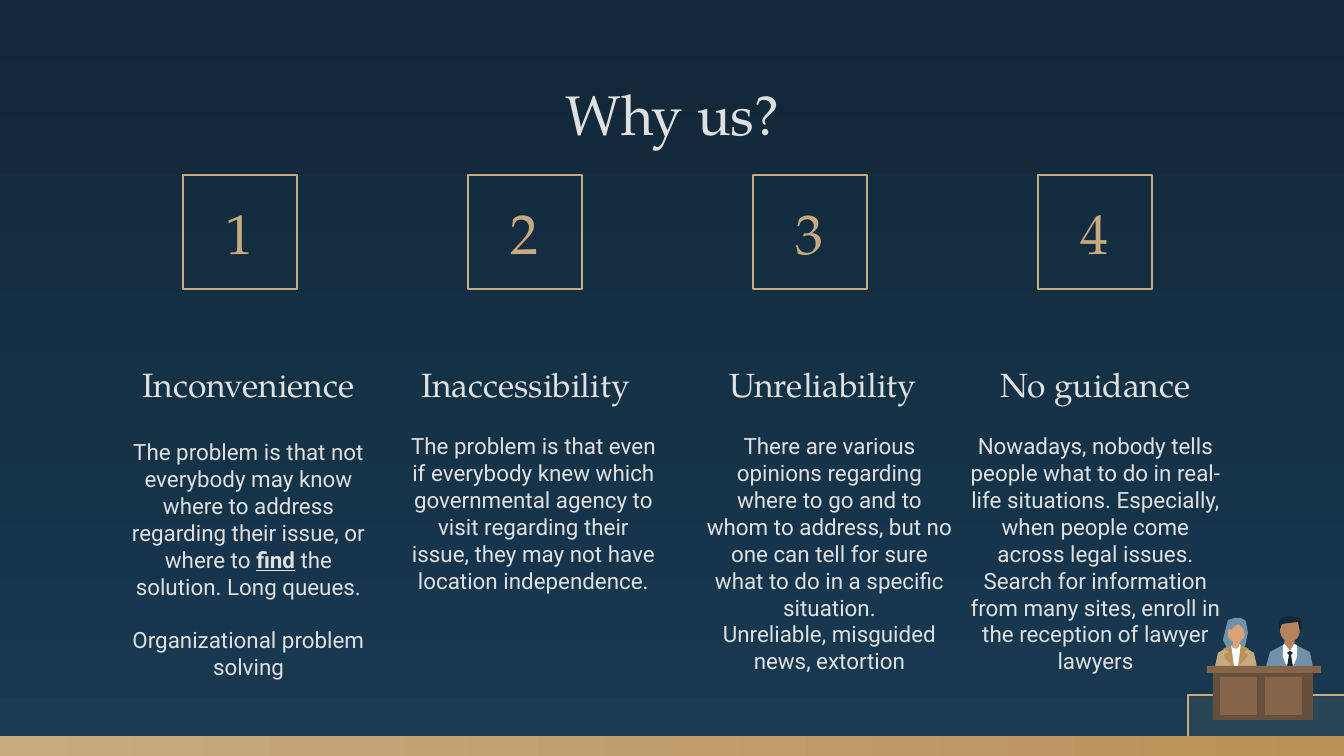
from lxml import etree
from pptx import Presentation
from pptx import util as u
from pptx.dml.color import RGBColor
from pptx.enum import shapes, text
from pptx.oxml.ns import qn

PX = 914400 / 134.4
SERIF, SANS = "TeX Gyre Pagella", "Roboto"
COLORS = {
    "night": "122738", "navy": "183A52", "gold": "C8AA81", "ochre": "BA9158",
    "text": "E0E0E0", "white": "FFFFFF", "blue": "7091A9", "tan": "B3845D",
    "skin": "D9A377", "desk": "65503E", "wood": "856449",
}
LEFT, CENTER = text.PP_ALIGN.LEFT, text.PP_ALIGN.CENTER
TOP, MIDDLE, BOTTOM = (text.MSO_ANCHOR.TOP, text.MSO_ANCHOR.MIDDLE,
                       text.MSO_ANCHOR.BOTTOM)
RECT, OVAL = shapes.MSO_SHAPE.RECTANGLE, shapes.MSO_SHAPE.OVAL

TITLE = "Why us?"
REASONS = [
    {"head": "Inconvenience", "head_box": (110, 348, 277, 70), "align": CENTER,
     "body_box": (110, 425, 277, 255), "gap": 14.4,
     "body": [[("The problem is that not everybody may know where to address "
                "regarding their issue, or where to ", False),
               ("find", True),
               (" the solution. Long queues.", False)],
              [("Organizational problem solving", False)]]},
    {"head": "Inaccessibility", "head_box": (387, 366, 277, 52), "align": CENTER,
     "body_box": (395, 419, 277, 194), "gap": 0,
     "body": [[("The problem is that even if everybody knew which governmental "
                "agency to visit regarding their issue, they may not have "
                "location independence.", False)]]},
    {"head": "Unreliability", "head_box": (716, 334, 227, 84), "align": LEFT,
     "body_box": (691, 419, 277, 293), "gap": 0,
     "body": [[("There are various opinions regarding where to go and to whom to "
                "address, but no one can tell for sure what to do in a specific "
                "situation.", False)],
              [("Unreliable, misguided news, extortion", False)]]},
    {"head": "No guidance", "head_box": (957, 366, 277, 52), "align": CENTER,
     "body_box": (957, 419, 277, 293), "gap": 0,
     "body": [[("Nowadays, nobody tells people what to do in real-life "
                "situations. Especially, when people come across legal issues.",
                False)],
              [("Search for information from many sites, enroll in the reception "
                "of lawyer lawyers", False)]]},
]
NUMBER_LEFT, NUMBER_TOP, NUMBER_SIZE, NUMBER_PITCH = 183, 175, 114, 285

MAN = [
    ("tan", [(1285, 638), (1294, 638), (1295, 645), (1290, 652), (1284, 645)]),
    ("blue", [(1266, 667), (1270, 652), (1285, 644), (1290, 652), (1294, 644),
              (1310, 652), (1313, 667)]),
    ("night", [(1279, 632), (1282, 624), (1290, 623), (1298, 622), (1300, 632),
               (1302, 624), (1299, 618), (1290, 616), (1282, 617), (1279, 623)]),
    ("white", [(1285, 644), (1283, 645), (1283, 657), (1287, 667), (1293, 667),
               (1297, 657), (1297, 645), (1294, 644), (1290, 651)]),
    ("night", [(1290, 651), (1287, 653), (1289, 655), (1287, 667), (1293, 667),
               (1291, 655), (1293, 653)]),
]
WOMAN = [
    ("gold", [(1215, 667), (1218, 653), (1231, 645), (1241, 645), (1254, 653),
              (1257, 667)]),
    ("white", [(1231, 644), (1241, 644), (1239, 667), (1234, 667)]),
    ("skin", [(1232, 633), (1239, 633), (1239, 647), (1236, 649), (1232, 647)]),
    ("ochre", [(1231, 645), (1223, 649), (1229, 652), (1224, 655), (1225, 658),
               (1234, 667)]),
    ("ochre", [(1241, 645), (1249, 649), (1244, 652), (1248, 655), (1246, 658),
               (1238, 667)]),
    ("blue", [(1235, 618), (1228, 620), (1225, 632), (1223, 640), (1227, 648),
              (1233, 645), (1233, 642), (1228, 637), (1228, 629), (1231, 630),
              (1235, 626), (1239, 624), (1244, 630), (1245, 636), (1239, 644),
              (1245, 647), (1248, 633), (1246, 621), (1241, 618)]),
]
FACES = [("tan", (1280, 617, 20, 25)), ("skin", (1226, 621, 20, 24))]
DESK = [("desk", (1213, 671, 100, 49)), ("wood", (1220, 677, 37, 38)),
        ("wood", (1265, 677, 37, 38)), ("wood", (1207, 666, 114, 7))]


def px(*values):
    return [u.Emu(round(v * PX)) for v in values]


def rgb(name):
    return RGBColor.from_string(COLORS[name])


def paint(sp, fill=None, line=None):
    sp.shadow.inherit = False
    if fill:
        sp.fill.solid()
        sp.fill.fore_color.rgb = rgb(fill)
    else:
        sp.fill.background()
    if line:
        sp.line.color.rgb = rgb(line)
        sp.line.width = u.Pt(0.75)
    else:
        sp.line.fill.background()


def blend(fill, first, last, angle):
    fill.gradient()
    fill.gradient_angle = angle
    for stop, name in zip(fill.gradient_stops, (first, last)):
        stop.color.rgb = rgb(name)


def add_block(kind, box, fill=None, line=None):
    sp = s.shapes.add_shape(kind, *px(*box))
    paint(sp, fill, line)
    return sp


def add_outline(fill, points):
    builder = s.shapes.build_freeform(*points[0], scale=PX)
    builder.add_line_segments(points[1:])
    paint(builder.convert_to_shape(), fill)


def write(sp, paragraphs, size, font, color="text", align=CENTER, anchor=TOP, gap=0):
    tf = sp.text_frame
    tf.word_wrap = True
    tf.auto_size = text.MSO_AUTO_SIZE.NONE
    tf.vertical_anchor = anchor
    tf.margin_left = tf.margin_right = tf.margin_top = tf.margin_bottom = u.Inches(0.1)
    for i, runs in enumerate(paragraphs):
        p = tf.add_paragraph() if i else tf.paragraphs[0]
        p.alignment = align
        p.space_before = u.Pt(gap if i else 0)
        for words, marked in runs:
            r = p.add_run()
            r.text = words
            r.font.size, r.font.name = u.Pt(size), font
            r.font.color.rgb = rgb(color)
            r.font.bold = r.font.underline = marked


prs = Presentation()
prs.slide_width, prs.slide_height = px(1344, 756)
s = prs.slides.add_slide(prs.slide_layouts[5])
blend(s.background.fill, "night", "navy", 270)

corner = add_block(RECT, (1188, 695, 159, 62), "gold", "gold")
tint = corner.fill._xPr.find(qn("a:solidFill"))[0]
etree.SubElement(tint, qn("a:alpha")).set("val", "10000")

for fill, box in FACES:
    add_block(OVAL, box, fill)
for fill, points in MAN + WOMAN:
    add_outline(fill, points)
for fill, box in DESK:
    add_block(RECT, box, fill)

floor = add_block(RECT, (0, 736, 1344, 20))
blend(floor.fill, "gold", "ochre", 0)

title = s.shapes.title
title.left, title.top, title.width, title.height = px(106, 66, 1133, 85)
write(title, [[(TITLE, False)]], 30, SERIF)

for i, reason in enumerate(REASONS):
    box = (NUMBER_LEFT + i * NUMBER_PITCH, NUMBER_TOP, NUMBER_SIZE, NUMBER_SIZE)
    number = add_block(RECT, box, line="gold")
    write(number, [[(str(i + 1), False)]], 30, SERIF, "gold", anchor=MIDDLE)
    head = s.shapes.add_textbox(*px(*reason["head_box"]))
    write(head, [[(reason["head"], False)]], 18, SERIF,
          align=reason["align"], anchor=BOTTOM)
    body = s.shapes.add_textbox(*px(*reason["body_box"]))
    write(body, reason["body"], 12, SANS, gap=reason["gap"])

prs.save("out.pptx")
